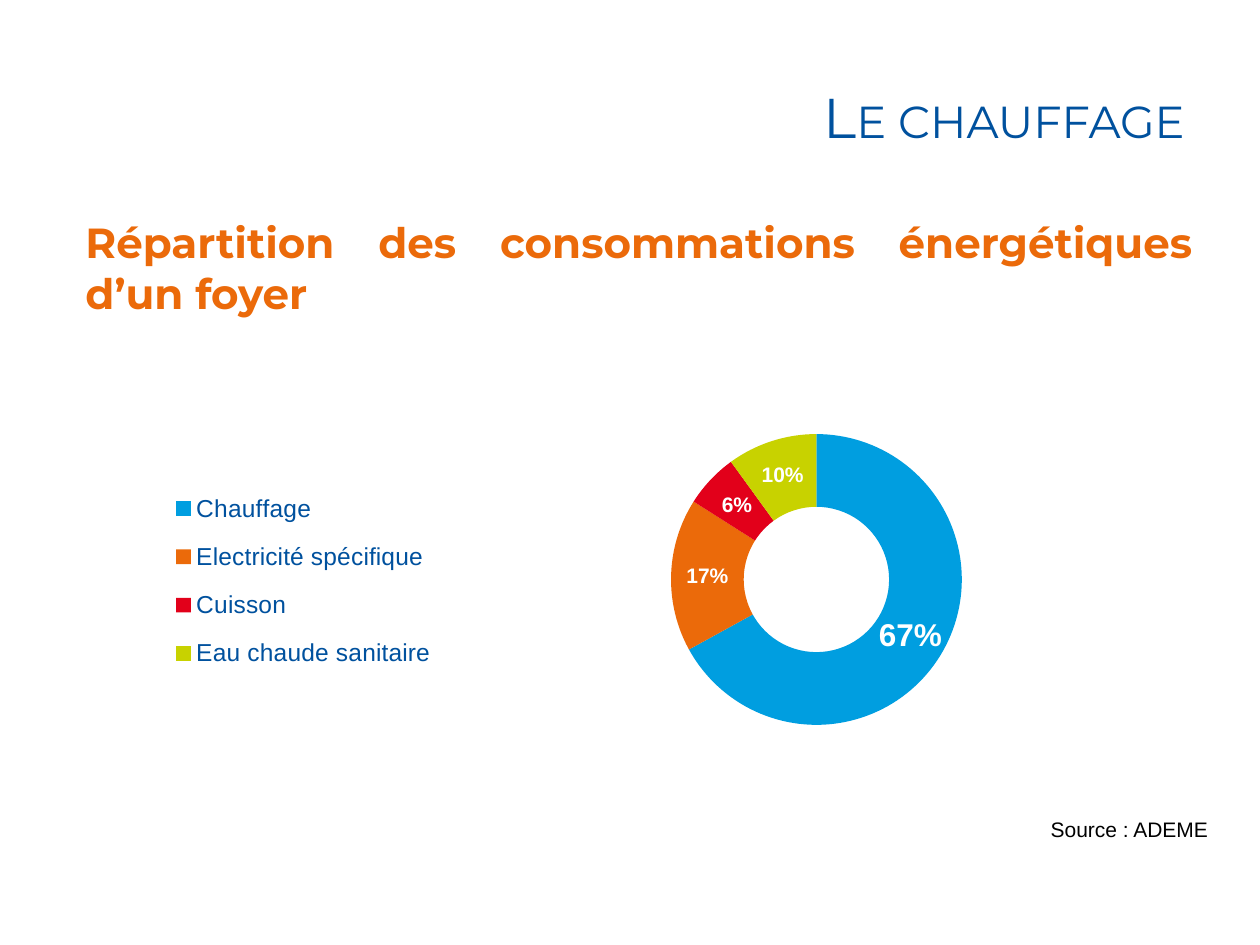
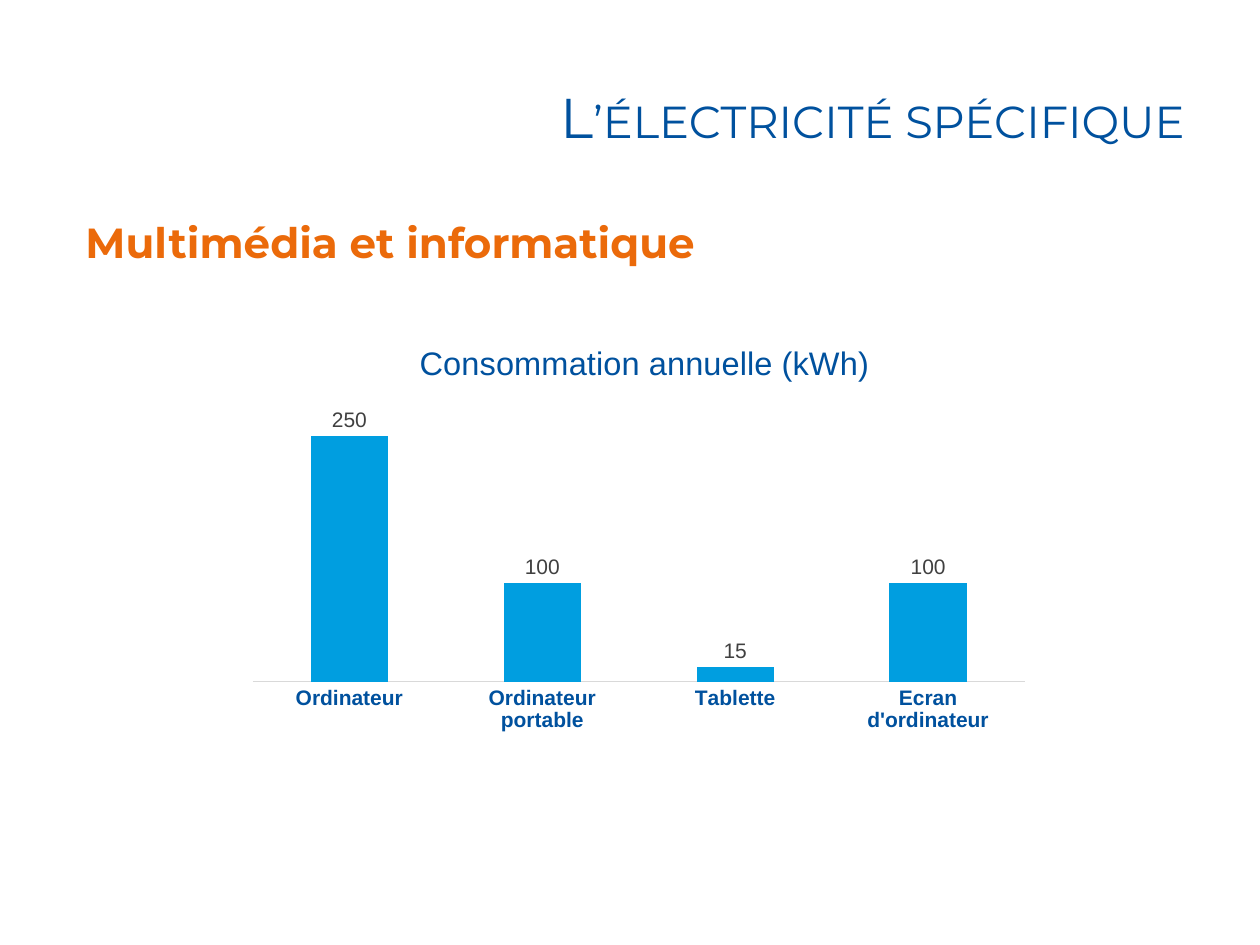
import pptx
import pptx.chart.data
import pptx.dml.color
import pptx.enum.chart
import pptx.enum.text
import pptx.oxml
import pptx.oxml.ns
import pptx.util
from pptx.util import Inches

BLUE, ORANGE, SKY, RED, LIME = "00519E", "EB6A0A", "009EE0", "E2001A", "C8D200"
WHITE, BLACK, GREY, PALE_GREY = "FFFFFF", "000000", "404040", "D9D9D9"
TITLE_FONT, BODY_FONT = "Montserrat", "Arial"
ALIGN = pptx.enum.text.PP_ALIGN
CHART_TYPE = pptx.enum.chart.XL_CHART_TYPE


def color(hex_code):
    return pptx.dml.color.RGBColor.from_string(hex_code)


def set_font(font, size, hex_code, name=BODY_FONT, bold=False):
    font.size = pptx.util.Pt(size)
    font.color.rgb = color(hex_code)
    font.name = name
    font.bold = bold


def paint(chart_format, hex_code):
    chart_format.fill.solid()
    chart_format.fill.fore_color.rgb = color(hex_code)
    chart_format.line.fill.background()


def place(element, index, inner=False, **fractions):
    """Give a chart part a manual layout, in fractions of the chart's size."""
    for old_layout in element.findall(pptx.oxml.ns.qn("c:layout")):
        element.remove(old_layout)
    target = '<c:layoutTarget val="inner"/>' if inner else ""
    modes = '<c:xMode val="edge"/><c:yMode val="edge"/>'
    sizes = "".join(f'<c:{key} val="{value}"/>' for key, value in fractions.items())
    element.insert(index, pptx.oxml.parse_xml(
        f'<c:layout {pptx.oxml.ns.nsdecls("c")}><c:manualLayout>'
        f"{target}{modes}{sizes}</c:manualLayout></c:layout>"))


class Deck:
    """Holds the shared style and the slide being filled."""

    def __init__(self):
        self.presentation = pptx.Presentation()
        self.presentation.slide_width = Inches(10)
        self.presentation.slide_height = Inches(7.5)
        self.slide = None

    def add_slide(self, title, subtitle):
        self.slide = self.presentation.slides.add_slide(self.presentation.slide_layouts[6])
        heading = self.add_text(title, (1.61, 0.3, 7.89, 1.25), 32, BLUE, TITLE_FONT,
                                align=ALIGN.RIGHT, anchor=pptx.enum.text.MSO_ANCHOR.MIDDLE)
        heading.runs[0].font._element.set("cap", "small")
        self.add_text(subtitle, (0.58, 1.67, 8.98, 0.95), 24, ORANGE, TITLE_FONT,
                      bold=True, align=ALIGN.JUSTIFY)

    def add_text(self, text, box, size, hex_code, name=BODY_FONT, bold=False,
                 align=ALIGN.LEFT, anchor=pptx.enum.text.MSO_ANCHOR.TOP):
        frame = self.slide.shapes.add_textbox(*map(Inches, box)).text_frame
        frame.word_wrap = True
        frame.vertical_anchor = anchor
        paragraph = frame.paragraphs[0]
        paragraph.text = text
        paragraph.alignment = align
        set_font(paragraph.font, size, hex_code, name, bold)
        return paragraph

    def add_chart(self, chart_type, box, values, plot_area):
        """Add a one-series chart from a dictionary of category to value."""
        data = pptx.chart.data.CategoryChartData()
        data.categories = list(values)
        data.add_series("Series 1", list(values.values()))
        chart = self.slide.shapes.add_chart(chart_type, *map(Inches, box), data).chart
        set_font(chart.font, 10, BLACK)
        chart.has_title = chart.has_legend = False
        place(chart._chartSpace.xpath("c:chart/c:plotArea")[0], 0, inner=True, **plot_area)
        return chart

    def add_doughnut(self, box, values, colors):
        chart = self.add_chart(CHART_TYPE.DOUGHNUT, box, values,
                               dict(x=0.425, y=0.188, w=0.575, h=0.598))
        chart.has_legend = True
        chart.legend.position = pptx.enum.chart.XL_LEGEND_POSITION.TOP
        chart.legend.include_in_layout = False
        set_font(chart.legend.font, 14, BLUE)
        place(chart.legend._element, 1, x=0.03, y=0.27, w=0.31, h=0.44)

        plot = chart.plots[0]
        plot.vary_by_categories = True
        series = plot.series[0]
        for index, hex_code in enumerate(colors):
            paint(series.points[index].format, hex_code)
        labels = series.data_labels
        labels.show_percentage = True
        labels.show_value = False
        labels.number_format = "0%"
        labels.number_format_is_linked = False
        set_font(labels.font, 12, WHITE, bold=True)
        set_font(series.points[0].data_label.font, 18, WHITE, bold=True)
        for tag, shown in (("showVal", "0"), ("showPercent", "1")):
            for flag in series._element.xpath(f".//c:dLbl/c:{tag}"):
                flag.set("val", shown)

    def add_columns(self, box, title, values):
        chart = self.add_chart(CHART_TYPE.COLUMN_CLUSTERED, box, values,
                               dict(x=0.02, y=0.171, w=0.96, h=0.691))
        chart.has_title = True
        paragraph = chart.chart_title.text_frame.paragraphs[0]
        paragraph.text = title
        set_font(paragraph.font, 18.6, BLUE)
        place(chart.chart_title._element, 1, x=0.22, y=0.05)

        value_axis = chart.value_axis
        value_axis.minimum_scale, value_axis.maximum_scale = 0, 300
        value_axis.has_major_gridlines = False
        value_axis.visible = False
        category_axis = chart.category_axis
        category_axis.major_tick_mark = pptx.enum.chart.XL_TICK_MARK.NONE
        category_axis.format.line.color.rgb = color(PALE_GREY)
        category_axis.format.line.width = pptx.util.Pt(0.75)
        set_font(category_axis.tick_labels.font, 12, BLUE, bold=True)

        plot = chart.plots[0]
        plot.vary_by_categories = False
        plot.gap_width, plot.overlap = 150, -25
        series = plot.series[0]
        paint(series.format, SKY)
        labels = series.data_labels
        labels.show_value = True
        labels.position = pptx.enum.chart.XL_LABEL_POSITION.OUTSIDE_END
        set_font(labels.font, 12, GREY)


def main():
    deck = Deck()

    deck.add_slide("Le chauffage", "Répartition des consommations énergétiques d’un foyer")
    deck.add_doughnut((0.98, 2.72, 7.72, 3.86),
                      {"Chauffage": 67, "Electricité spécifique": 17,
                       "Cuisson": 6, "Eau chaude sanitaire": 10},
                      (SKY, ORANGE, RED, LIME))
    deck.add_text("Source : ADEME", (8.24, 6.43, 1.49, 0.3), 12, BLACK)

    deck.add_slide("L’électricité spécifique", "Multimédia et informatique")
    deck.add_columns((1.88, 2.49, 6.38, 3.39), "Consommation annuelle (kWh)",
                     {"Ordinateur": 250, "Ordinateur portable": 100,
                      "Tablette": 15, "Ecran d'ordinateur": 100})

    deck.presentation.save("out.pptx")


if __name__ == "__main__":
    main()
